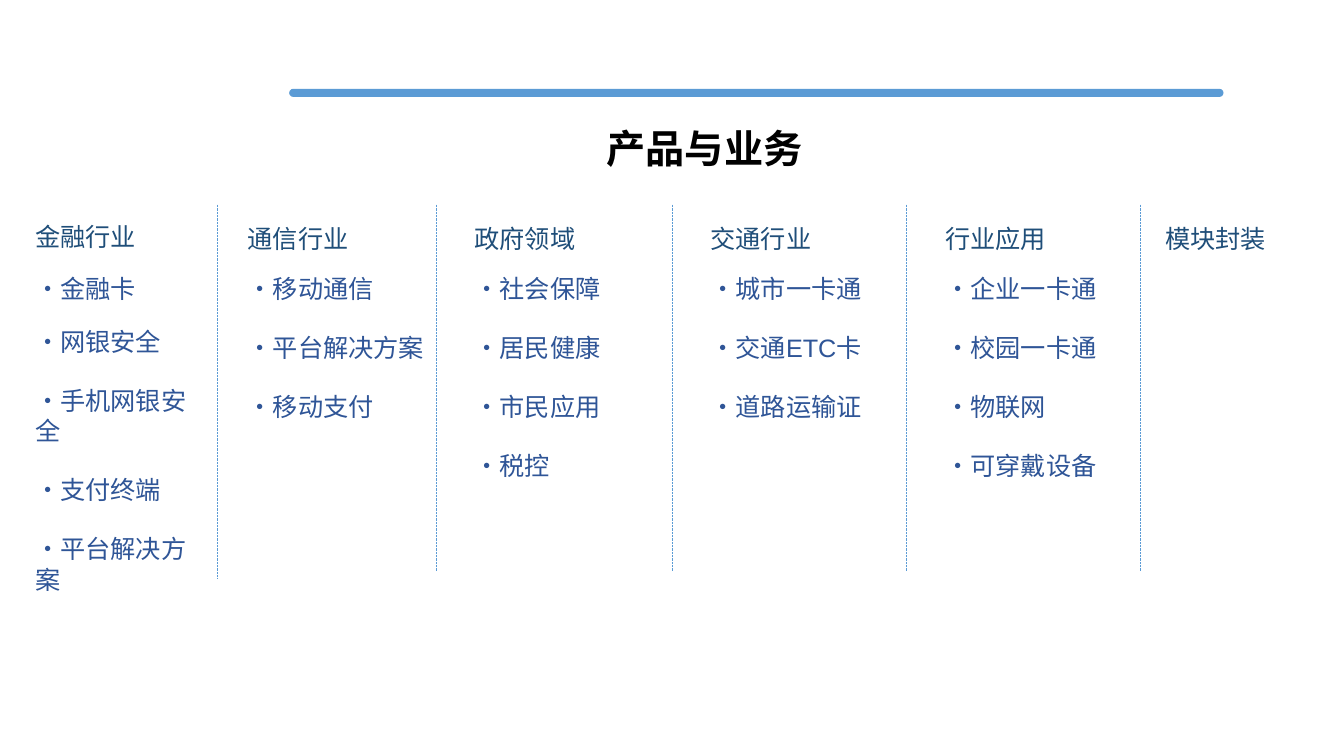
from lxml import etree
from pptx import Presentation
from pptx.dml.color import RGBColor
from pptx.enum import dml, shapes, text
from pptx.oxml.ns import qn
from pptx.util import Pt

BLUE = RGBColor(0x5B, 0x9B, 0xD5)
NAVY = RGBColor(0x1F, 0x4E, 0x79)
INK = RGBColor(0x2F, 0x55, 0x97)
BLACK = RGBColor(0, 0, 0)

HEAD = {"size": Pt(18), "name": "Noto Sans CJK SC", "color": NAVY}
ITEM = {"size": Pt(18), "name": "Arial", "color": INK}
TITLE = {"size": Pt(28), "name": "Calibri", "color": BLACK, "bold": True}

# Left, heading top, list width, gap before the second item, heading, items
FIELDS = [
    (18, 154.8, 131, 16.1, "金融行业",
     ["金融卡", "网银安全", "手机网银安全", "支付终端", "平台解决方案"]),
    (169.9, 156.2, 141, 20.7, "通信行业", ["移动通信", "平台解决方案", "移动支付"]),
    (331.9, 156.2, 138, 20.7, "政府领域", ["社会保障", "居民健康", "市民应用", "税控"]),
    (500.4, 156.2, 127, 20.7, "交通行业", ["城市一卡通", "交通ETC卡", "道路运输证"]),
    (668.2, 156.2, 125, 20.7, "行业应用",
     ["企业一卡通", "校园一卡通", "物联网", "可穿戴设备"]),
    (825.1, 156.2, 0, 0, "模块封装", []),
]
# Position and lower end of each divider
RULES = [(155.5, 413.3), (311.8, 408.2), (480.2, 408.2), (647.3, 408.2), (814.3, 408.2)]


def style(run, form):
    for key, val in form.items():
        if key == "color":
            run.font.color.rgb = val
        else:
            setattr(run.font, key, val)


def write(slide, box, lines, form, gaps=()):
    """Add a text box with one paragraph per line, gaps before all but the first."""
    frame = slide.shapes.add_textbox(*map(Pt, box)).text_frame
    frame.word_wrap = True
    frame.auto_size = text.MSO_AUTO_SIZE.SHAPE_TO_FIT_TEXT
    for i, line in enumerate(lines):
        para = frame.paragraphs[0] if i == 0 else frame.add_paragraph()
        if i:
            para.space_before = Pt(gaps[i - 1])
        run = para.add_run()
        run.text = line
        style(run, form)


def field(slide, left, top, width, gap, head, items):
    write(slide, (left, top, 105, 28.8), [head], HEAD)
    if items:
        gaps = [gap] + [20.7] * (len(items) - 2)
        high = 29 + sum(gaps) + 21.6 * (len(items) - 1)
        write(slide, (left, 191.5, width, high), ["•" + item for item in items], ITEM, gaps)


def rule(slide, x, top, end):
    line = slide.shapes.add_connector(
        shapes.MSO_CONNECTOR.STRAIGHT, Pt(x), Pt(top), Pt(x), Pt(end))
    line.line.color.rgb = BLUE
    line.line.width = Pt(0.5)
    line.line.dash_style = dml.MSO_LINE.ROUND_DOT
    etree.SubElement(line.element.spPr, qn("a:effectLst"))


def header(slide, left, top, width):
    bar = slide.shapes.add_shape(
        shapes.MSO_SHAPE.ROUNDED_RECTANGLE, Pt(left), Pt(top), Pt(width), Pt(5.8))
    bar.adjustments[0] = 0.5
    bar.shadow.inherit = False
    bar.fill.solid()
    bar.fill.fore_color.rgb = BLUE
    bar.line.fill.background()
    write(slide, (left + 219.6, top + 21.6, 252.7, 41), ["产品与业务"], TITLE)


def main():
    deck = Presentation()
    deck.slide_width, deck.slide_height = Pt(960), Pt(540)
    slide = deck.slides.add_slide(deck.slide_layouts[6])
    header(slide, 206.6, 63.4, 667.4)
    for part in FIELDS:
        field(slide, *part)
    for x, end in RULES:
        rule(slide, x, 146.2, end)
    deck.save("out.pptx")


if __name__ == "__main__":
    main()
